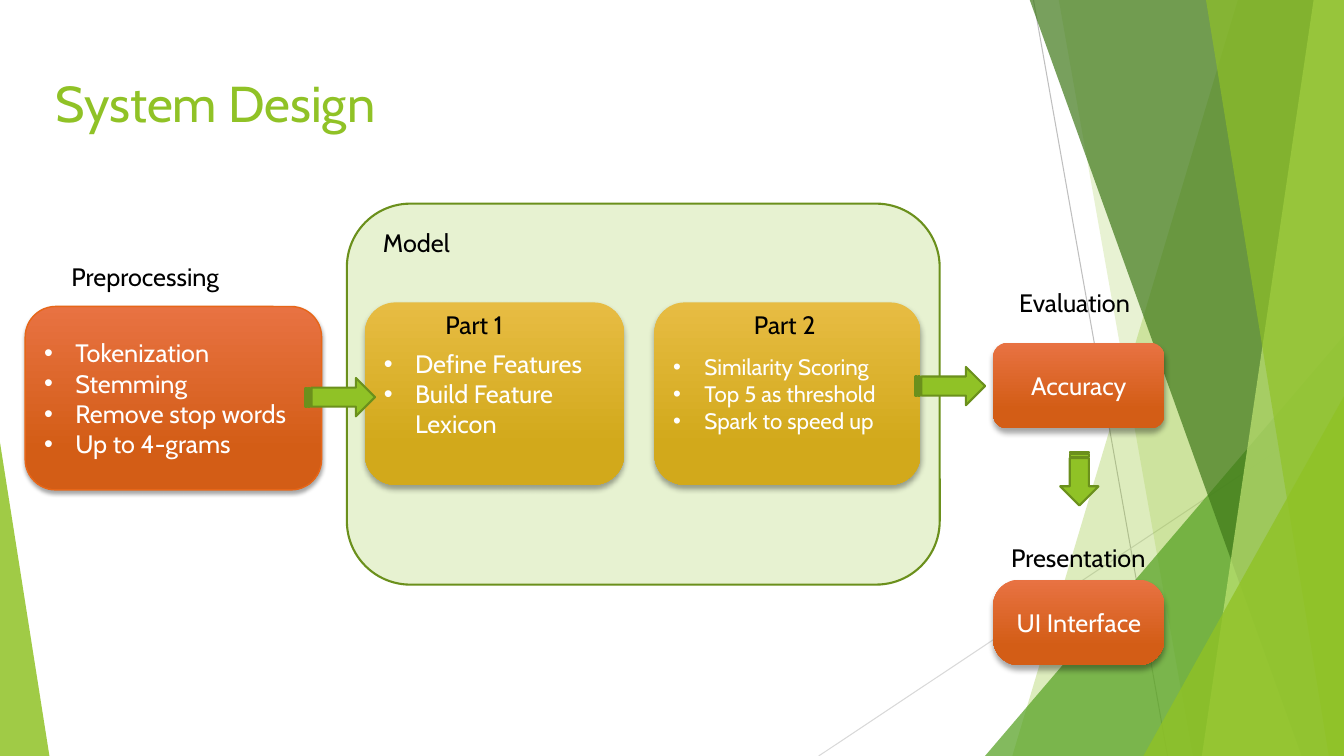
from dataclasses import dataclass

from lxml import etree
from pptx import Presentation
from pptx.dml.color import RGBColor
from pptx.enum.shapes import MSO_CONNECTOR, MSO_SHAPE
from pptx.enum.text import MSO_ANCHOR, MSO_AUTO_SIZE, PP_ALIGN
from pptx.oxml.ns import qn
from pptx.util import Pt

PX = 9144  # EMU in one px, a hundredth of an inch
LINE = MSO_CONNECTOR.STRAIGHT
ROUND = MSO_SHAPE.ROUNDED_RECTANGLE
ARROW = MSO_SHAPE.STRIPED_RIGHT_ARROW
WEDGE = MSO_SHAPE.ISOSCELES_TRIANGLE
LEFT, CENTER = PP_ALIGN.LEFT, PP_ALIGN.CENTER
TOP, MIDDLE = MSO_ANCHOR.TOP, MSO_ANCHOR.MIDDLE

Area = tuple[int, int, int, int]


@dataclass(frozen=True)
class Theme:
    font: str = "Cabin"
    green: str = "90C226"
    edge: str = "6B901C"
    leaf: str = "54A021"
    moss: str = "3F7819"
    lime: str = "C0E474"
    white: str = "FFFFFF"
    black: str = "000000"
    rim: str = "E76618"
    ray: str = "BFBFBF"
    pale: str = "D9D9D9"
    orange: tuple[str, str] = ("E87242", "D35D16")
    gold: tuple[str, str] = ("E7BC43", "D2A91B")
    title: int = 36
    body: int = 18
    small: int = 16


@dataclass(frozen=True)
class Facet:
    """A shard that runs from the top edge to the bottom edge."""
    top: tuple[int, int]
    base: tuple[int, int]
    color: str
    alpha: int


@dataclass(frozen=True)
class Corner:
    area: Area
    tip: int
    color: str
    alpha: int


@dataclass(frozen=True)
class Box:
    area: Area
    lines: tuple[str, ...]
    colors: tuple[str, str]
    size: int = 18
    bullet: bool = True
    rim: str | None = None
    curve: float | None = None
    blur: int = 4
    drop: int = 3


@dataclass(frozen=True)
class Label:
    area: Area
    text: str
    wrap: bool = False


@dataclass(frozen=True)
class Arrow:
    area: Area
    turn: int = 0


T = Theme()
RAYS = (((1025, 0, 1158, 750), T.ray), ((1333, 403, 812, 750), T.pale))
BACK = (
    Facet((1228, 1333), (1004, 1333), T.green, 30),
    Facet((1050, 1333), (1183, 1333), T.green, 20),
    Corner((977, 333, 356, 417), 1, T.leaf, 72),
    Facet((1021, 1333), (1291, 1333), T.moss, 70),
    Facet((1303, 1333), (1192, 1333), T.lime, 70),
    Facet((1196, 1333), (1318, 1333), T.green, 65),
    Corner((1134, 393, 199, 357), 1, T.green, 80),
    Corner((0, 439, 49, 311), 0, T.green, 85),
)
MODEL = (344, 202, 588, 378)
BOXES = (
    Box((25, 304, 294, 182),
        ("Tokenization", "Stemming", "Remove stop words", "Up to 4-grams"),
        T.orange, rim=T.rim, blur=3, drop=2),
    Box((362, 300, 257, 181), ("Define Features", "Build Feature Lexicon"), T.gold),
    Box((649, 300, 264, 181),
        ("Similarity Scoring", "Top 5 as threshold", "Spark to speed up"),
        T.gold, size=T.small),
    Box((985, 340, 170, 85), ("Accuracy",), T.orange, bullet=False),
    Box((985, 575, 170, 85), ("UI Interface",), T.orange, bullet=False, curve=0.306),
)
ARROWS = (
    Arrow((303, 375, 69, 38)),
    Arrow((908, 364, 69, 38)),
    Arrow((1044, 456, 53, 38), 90),
)
LABELS = (
    Label((61, 254, 182, 40), "Preprocessing"),
    Label((1001, 280, 139, 40), "Evaluation"),
    Label((370, 221, 106, 40), "Model", wrap=True),
    Label((432, 302, 87, 40), "Part 1"),
    Label((738, 302, 87, 40), "Part 2"),
    Label((993, 533, 162, 40), "Presentation"),
)


def scale(area: Area) -> list[int]:
    return [n * PX for n in area]


def add(node, tag: str, **attrs):
    return etree.SubElement(node, qn(tag), {k: str(v) for k, v in attrs.items()})


def paint(shape, color: str, alpha: int = 100, edge: str | None = None,
          width: float = 1.5) -> None:
    shape.shadow.inherit = False
    shape.fill.solid()
    shape.fill.fore_color.rgb = RGBColor.from_string(color)
    if alpha < 100:
        tint = shape.element.spPr.find(qn("a:solidFill"))[0]
        add(tint, "a:alpha", val=alpha * 1000)
    outline(shape, edge, width)


def outline(shape, color: str | None, width: float) -> None:
    if color is None:
        shape.line.fill.background()
    else:
        shape.line.color.rgb = RGBColor.from_string(color)
        shape.line.width = Pt(width)


def write(frame, *lines: str, size: int = T.body, color: str = T.black,
          align=LEFT, anchor=TOP, wrap: bool = True, bullet: bool = False) -> None:
    frame.text = "\n".join(lines)
    frame.auto_size = MSO_AUTO_SIZE.NONE
    frame.word_wrap = wrap
    frame.vertical_anchor = anchor
    for para in frame.paragraphs:
        para.alignment = align
        font = para.runs[0].font
        font.name, font.size = T.font, Pt(size)
        font.color.rgb = RGBColor.from_string(color)
        if bullet:
            props = para._p.get_or_add_pPr()
            props.set("marL", str(31 * PX))
            props.set("indent", str(-31 * PX))
            add(props, "a:buFont", typeface="Arial")
            add(props, "a:buChar", char="•")


def draw_ray(shapes, ends: Area, color: str) -> None:
    ray = shapes.add_connector(LINE, *scale(ends))
    outline(ray, color, 0.75)
    add(ray.element.spPr, "a:effectLst")


def draw_back(shapes, part: Facet | Corner) -> None:
    if isinstance(part, Corner):
        shape = shapes.add_shape(WEDGE, *scale(part.area))
        shape.adjustments[0] = part.tip
    else:
        (a, b), (c, d) = part.top, part.base
        path = shapes.build_freeform(a, -1, scale=PX)
        path.add_line_segments([(b, -1), (d, 750), (c, 750)], close=True)
        shape = path.convert_to_shape()
    paint(shape, part.color, part.alpha)


def draw_box(shapes, box: Box) -> None:
    shape = shapes.add_shape(ROUND, *scale(box.area))
    if box.curve is not None:
        shape.adjustments[0] = box.curve
    shape.fill.gradient()
    shape.fill.gradient_angle = 270
    for stop, color, spot in zip(shape.fill.gradient_stops, box.colors, (0, 0.78)):
        stop.color.rgb = RGBColor.from_string(color)
        stop.position = spot
    outline(shape, box.rim, 1)
    shape.shadow.inherit = False
    cast = add(shape.element.spPr.find(qn("a:effectLst")), "a:outerShdw",
               blurRad=Pt(box.blur), dist=Pt(box.drop), dir=5400000, rotWithShape=0)
    add(add(cast, "a:srgbClr", val=T.black), "a:alpha", val=35000)
    write(shape.text_frame, *box.lines, size=box.size, color=T.white, anchor=MIDDLE,
          align=LEFT if box.bullet else CENTER, bullet=box.bullet)


def draw_arrow(shapes, arrow: Arrow) -> None:
    shape = shapes.add_shape(ARROW, *scale(arrow.area))
    shape.rotation = arrow.turn
    paint(shape, T.green, edge=T.edge)


def main() -> None:
    deck = Presentation()
    deck.slide_width, deck.slide_height = 1333 * PX, 750 * PX
    shapes = deck.slides.add_slide(deck.slide_layouts[5]).shapes
    title = shapes.title
    title.left, title.top, title.width, title.height = scale((45, 67, 940, 144))
    write(title.text_frame, "System Design", size=T.title, color=T.green)
    for ends, color in RAYS:
        draw_ray(shapes, ends, color)
    for part in BACK:
        draw_back(shapes, part)
    paint(shapes.add_shape(ROUND, *scale(MODEL)), T.green, 21, T.edge)
    for box in BOXES:
        draw_box(shapes, box)
    for arrow in ARROWS:
        draw_arrow(shapes, arrow)
    for label in LABELS:
        text = shapes.add_textbox(*scale(label.area))
        write(text.text_frame, label.text, wrap=label.wrap)
    deck.save("out.pptx")


if __name__ == "__main__":
    main()
